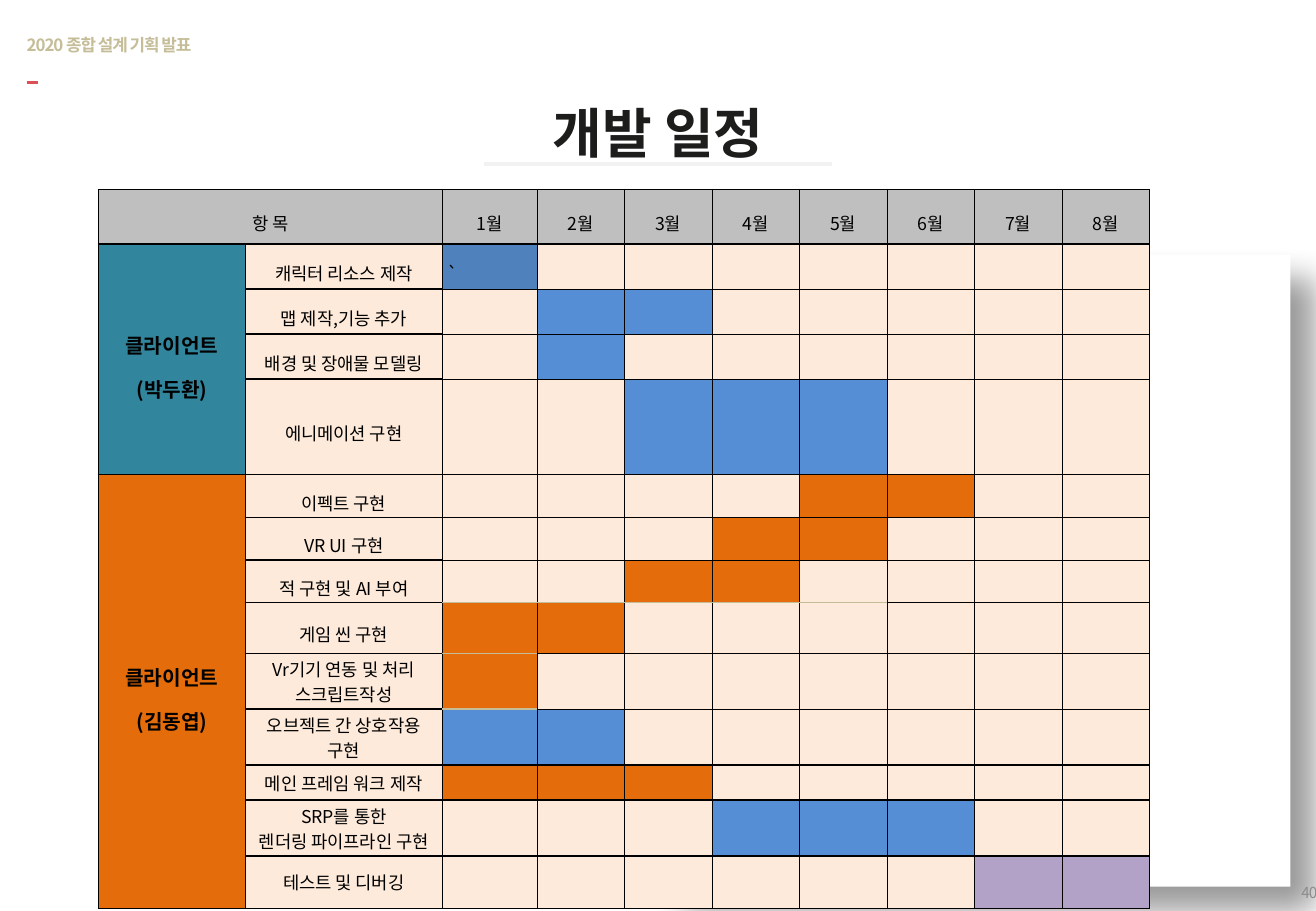
from lxml.etree import SubElement
from pptx import Presentation
from pptx.dml.color import RGBColor
from pptx.enum.shapes import MSO_CONNECTOR, MSO_SHAPE
from pptx.enum.text import MSO_ANCHOR, PP_ALIGN
from pptx.oxml.ns import qn
from pptx.util import Inches, Pt

FONT = "Noto Sans CJK KR"
BLACK, TAN, GRAY, CREAM = "000000", "C4BD97", "BFBFBF", "FDEADA"
TEAL, NAVY, BLUE, ORANGE, PURPLE = "31859C", "4F81BD", "558ED5", "E46C0A", "B3A2C7"

COL_WIDTHS = [1.21, 1.62, 0.78] + [0.72] * 7
HEADER_HEIGHT = 0.45
FIRST_MONTH_COL = 2
TEAMS = [("클라이언트\n(박두환)", TEAL, 4), ("클라이언트\n(김동엽)", ORANGE, 9)]
TASKS = [
    ("캐릭터 리소스 제작", 0.37, 1, 1, NAVY),
    ("맵 제작,기능 추가", 0.37, 2, 3, BLUE),
    ("배경 및 장애물 모델링", 0.37, 2, 2, BLUE),
    ("에니메이션 구현", 0.79, 3, 5, BLUE),
    ("이펙트 구현", 0.35, 5, 6, ORANGE),
    ("VR UI 구현", 0.35, 4, 5, ORANGE),
    ("적 구현 및 AI 부여", 0.35, 3, 4, ORANGE),
    ("게임 씬 구현", 0.42, 1, 2, ORANGE),
    ("Vr기기 연동 및 처리 스크립트작성", 0.46, 1, 1, ORANGE),
    ("오브젝트 간 상호작용 구현", 0.46, 1, 2, BLUE),
    ("메인 프레임 워크 제작", 0.29, 1, 3, ORANGE),
    ("SRP를 통한\n렌더링 파이프라인 구현", 0.46, 4, 6, BLUE),
    ("테스트 및 디버깅", 0.43, 7, 8, PURPLE),
]
LAST_SPACED_ROW = 8
HEAVY_EDGES = {0, 1, 5, 11, 12, 13, 14}
TAN_EDGES = {(8, col) for col in range(2, 7)} | {(9, 2), (10, 2)}


def rgb(value):
    """Turn a hex string into a colour."""
    return RGBColor.from_string(value)


def write(tf, text, size, color=BLACK, bold=False, align=PP_ALIGN.CENTER,
          line_spacing=None, tracking=None):
    """Fill a text frame with one paragraph per line of text."""
    for i, line in enumerate(text.split("\n")):
        p = tf.paragraphs[0] if i == 0 else tf.add_paragraph()
        p.alignment = align
        if line_spacing:
            p.line_spacing = line_spacing
        p.font.size, p.font.bold, p.font.name = Pt(size), bold, FONT
        p.font.color.rgb = rgb(color)
        props = p._p.pPr.find(qn("a:defRPr"))
        props.set("kern", "0")
        SubElement(props, qn("a:ea")).set("typeface", FONT)
        if tracking:
            props.set("spc", str(tracking))
        if line:
            p.add_run().text = line
        else:
            SubElement(p._p, qn("a:endParaRPr")).set("sz", str(int(size * 100)))


def add_label(slide, box, text, size, color, margin=0, space_after=None, **style):
    """Place a vertically centred text box."""
    tf = slide.shapes.add_textbox(*map(Inches, box)).text_frame
    tf.word_wrap = True
    tf.vertical_anchor = MSO_ANCHOR.MIDDLE
    tf.margin_left = tf.margin_right = Inches(margin)
    tf.margin_top = tf.margin_bottom = Inches(margin / 2)
    write(tf, text, size, color, **style)
    if space_after:
        tf.paragraphs[0].space_after = Pt(space_after)


def add_rule(slide, left, top, width, color, weight):
    """Draw a horizontal line."""
    line = slide.shapes.add_connector(
        MSO_CONNECTOR.STRAIGHT, *map(Inches, (left, top, left + width, top)))
    line.line.color.rgb = rgb(color)
    line.line.width = Pt(weight)
    SubElement(line._element.spPr, qn("a:effectLst"))


def add_panel(slide, box):
    """Draw the white panel with its soft shadow."""
    sp = slide.shapes.add_shape(MSO_SHAPE.RECTANGLE, *map(Inches, box))
    sp.shadow.inherit = False
    sp.fill.solid()
    sp.fill.fore_color.rgb = rgb("FFFFFF")
    sp.line.fill.background()
    effects = sp._element.spPr.find(qn("a:effectLst"))
    shadow = SubElement(effects, qn("a:outerShdw"), blurRad=str(Pt(19)),
                        dist=str(Pt(20)), dir=str(45 * 60000),
                        algn="tl", rotWithShape="0")
    color = SubElement(shadow, qn("a:srgbClr"), val=BLACK)
    SubElement(color, qn("a:alpha"), val="40000")


def horizontal_edge(edge, col):
    """Give the colour and weight of the line above row number edge."""
    if (edge, col) in TAN_EDGES:
        return TAN, 1
    heavy = col < FIRST_MONTH_COL or edge in HEAVY_EDGES
    return BLACK, 1 if heavy else 0.28


def vertical_edge(edge):
    """Give the colour and weight of the line left of column number edge."""
    return BLACK, 1 if edge <= FIRST_MONTH_COL else 0.28


def style_cell(cell, row, col, fill):
    """Set margins, borders and fill of a cell."""
    cell.margin_left = cell.margin_right = Inches(0.04)
    cell.margin_top = cell.margin_bottom = Inches(0.02)
    cell.vertical_anchor = MSO_ANCHOR.MIDDLE
    borders = {"lnL": vertical_edge(col), "lnR": vertical_edge(col + 1),
               "lnT": horizontal_edge(row, col), "lnB": horizontal_edge(row + 1, col)}
    props = cell._tc.get_or_add_tcPr()
    for tag, (color, weight) in borders.items():
        ln = SubElement(props, qn(f"a:{tag}"), w=str(Pt(weight)))
        SubElement(SubElement(ln, qn("a:solidFill")), qn("a:srgbClr"), val=color)
    cell.fill.solid()
    cell.fill.fore_color.rgb = rgb(fill)


def cell_content(row, col):
    """Give the text and fill of a heading, task or month cell."""
    month = col - FIRST_MONTH_COL + 1
    if row == 0:
        return (f"{month}월" if month > 0 else "항 목" if col == 0 else ""), GRAY
    task, _, start, end, color = TASKS[row - 1]
    if month < 1:
        return (task if col == 1 else ""), CREAM
    return ("`" if (row, month) == (1, 1) else ""), color if start <= month <= end else CREAM


def add_schedule(slide, left, top):
    """Build the Gantt table of tasks by month."""
    heights = [HEADER_HEIGHT] + [task[1] for task in TASKS]
    frame = slide.shapes.add_table(
        len(heights), len(COL_WIDTHS),
        *map(Inches, (left, top, sum(COL_WIDTHS), sum(heights))))
    table = frame.table
    table.first_row = table.horz_banding = False
    for column, width in zip(table.columns, COL_WIDTHS):
        column.width = Inches(width)
    for row, height in enumerate(heights):
        table.rows[row].height = Inches(height)
        for col in range(len(COL_WIDTHS)):
            if row and col == 0:
                continue
            cell = table.cell(row, col)
            text, fill = cell_content(row, col)
            style_cell(cell, row, col, fill)
            write(cell.text_frame, text, 10.5,
                  align=PP_ALIGN.JUSTIFY if text == "`" else PP_ALIGN.CENTER,
                  line_spacing=1.5 if text and row <= LAST_SPACED_ROW else None)
    table.cell(0, 0).merge(table.cell(0, 1))
    row = 1
    for name, color, count in TEAMS:
        for r in range(row, row + count):
            style_cell(table.cell(r, 0), r, 0, color)
        write(table.cell(row, 0).text_frame, name, 12, bold=True, line_spacing=1.5)
        table.cell(row, 0).merge(table.cell(row + count - 1, 0))
        row += count


def add_heading(slide, left, top):
    """Place the running header, its accent dash and the slide title."""
    add_rule(slide, left, top + 0.55, 0.09, "DA5054", 2)
    add_rule(slide, left + 3.76, top + 1.22, 2.87, "F2F2F2", 2.25)
    add_label(slide, (left + 1.22, top + 0.77, 7.95, 0.38), "개발 일정", 32, "1D1D1B",
              margin=0.1, space_after=3, bold=True)
    add_label(slide, (left, top, 2.99, 0.47), "2020 종합 설계 기획 발표", 10, TAN,
              bold=True, align=PP_ALIGN.LEFT, tracking=-60)


def main():
    """Build and save the schedule slide."""
    prs = Presentation()
    prs.slide_width, prs.slide_height = Inches(10.83), Inches(7.5)
    slide = prs.slides.add_slide(prs.slide_layouts[6])
    add_panel(slide, (5.42, 2.1, 5.2, 5.2))
    add_heading(slide, 0.22, 0.13)
    add_label(slide, (10.38, 7.19, 0.46, 0.31), "40", 9, "8C8C8C",
              align=PP_ALIGN.RIGHT, tracking=-60)
    add_schedule(slide, 0.81, 1.56)
    prs.save("out.pptx")


if __name__ == "__main__":
    main()
